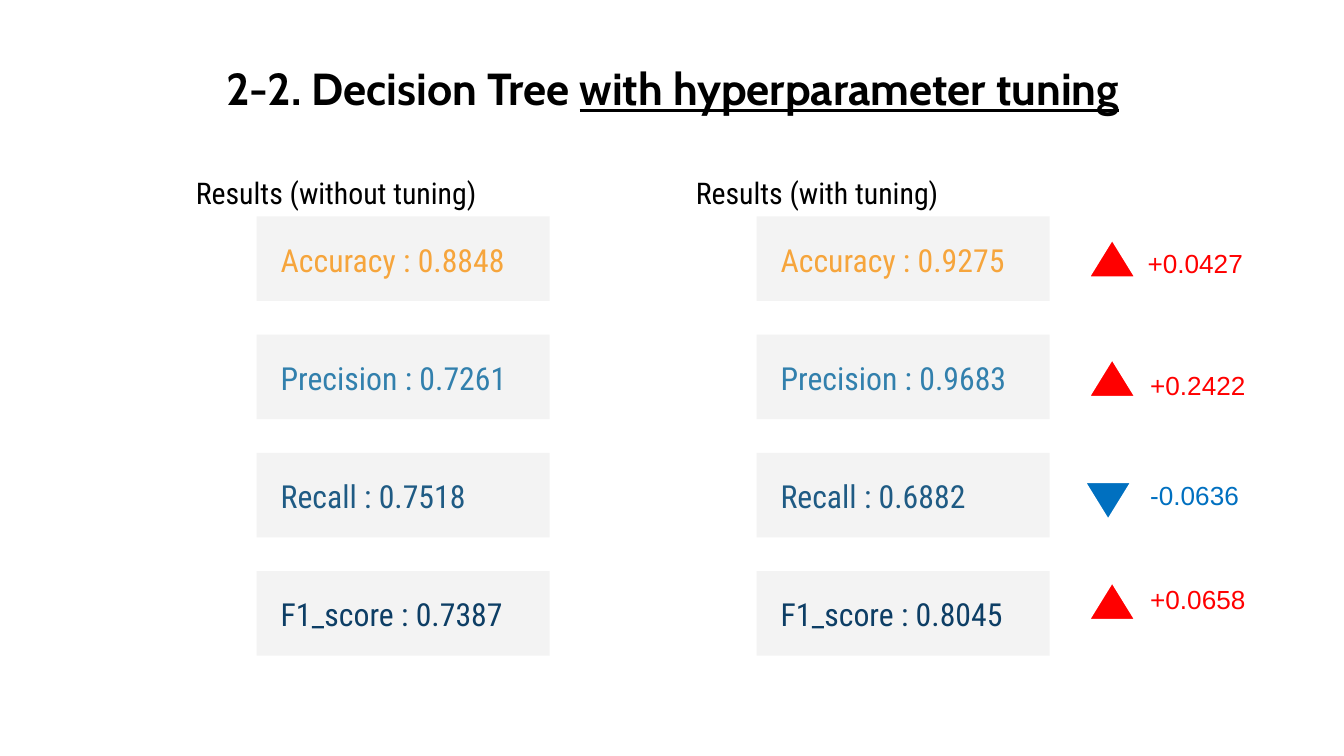
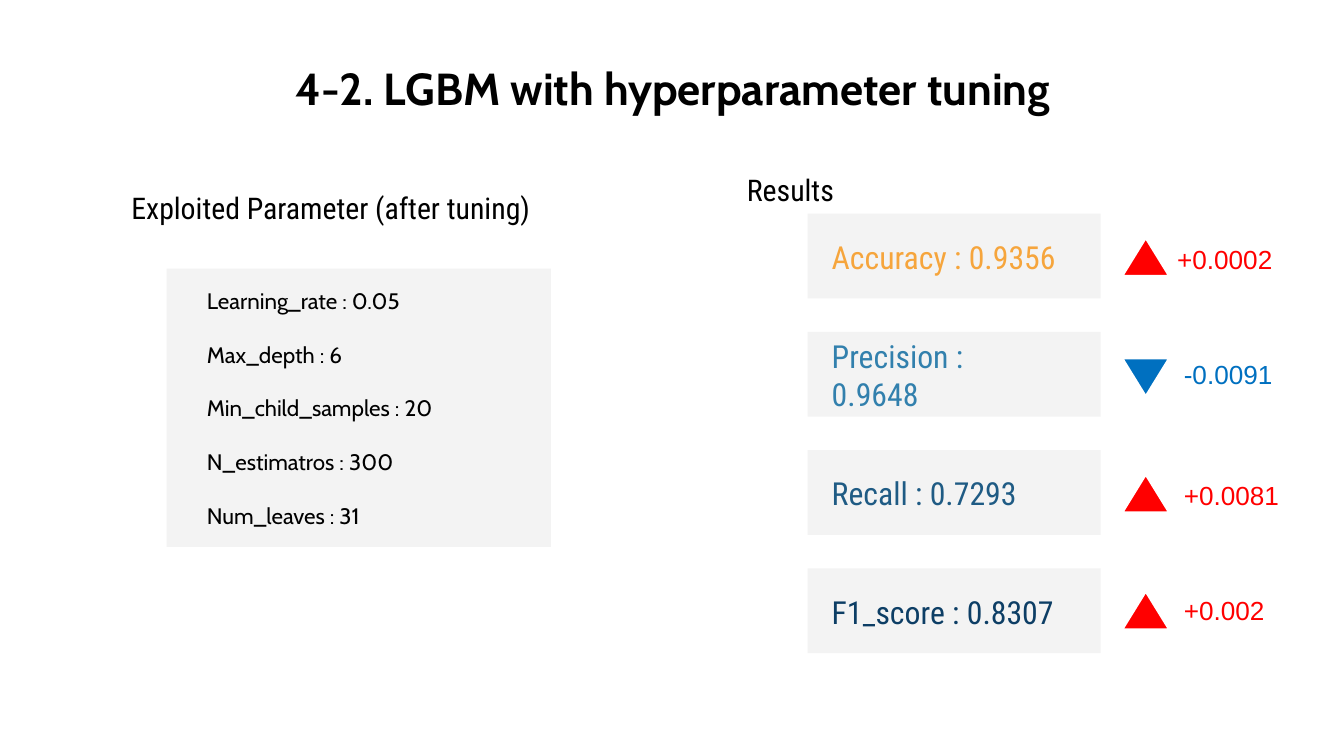
import pptx
import pptx.dml.color
import pptx.enum.shapes
import pptx.enum.text
import pptx.util

COLUMNS, ROWS = 100, 56.25
COLORS = {
    "ink": "000000", "paper": "FFFFFF", "tile": "F3F3F3",
    "Accuracy": "F6A53C", "Precision": "3280AD",
    "Recall": "1F5B84", "F1_score": "0D3E65",
    "rise": "FF0000", "fall": "0070C0",
}
FORMATS = {
    "title": {"name": "Cabin", "size": pptx.util.Pt(24), "bold": True},
    "heading": {"name": "Roboto Condensed", "size": pptx.util.Pt(16)},
    "score": {"name": "Roboto Condensed", "size": pptx.util.Pt(17)},
    "change": {"name": "Arial", "size": pptx.util.Pt(14)},
    "setting": {"name": "Cabin", "size": pptx.util.Pt(12)},
}
ANCHOR = pptx.enum.text.MSO_ANCHOR
ALIGN = pptx.enum.text.PP_ALIGN
FIT = pptx.enum.text.MSO_AUTO_SIZE
SHAPE = pptx.enum.shapes.MSO_SHAPE
METRICS = ("Accuracy", "Precision", "Recall", "F1_score")
TILE_PITCH = 8.8
TILE_WIDTH, TILE_HEIGHT = 21.8, 6.3


def color(name):
    """Return the named colour."""
    return pptx.dml.color.RGBColor.from_string(COLORS[name])


def assign(target, values):
    """Set attributes of an object from a dict."""
    for name, value in values.items():
        setattr(target, name, value)


class Report:
    """Holds the deck, its style and the current page."""

    def __init__(self):
        """Open a widescreen deck."""
        self.deck = pptx.Presentation()
        self.deck.slide_width = pptx.util.Inches(10)
        self.deck.slide_height = pptx.util.Inches(5.625)
        self.page = None

    def place(self, left, top, width, height):
        """Convert grid columns and rows to lengths."""
        column = self.deck.slide_width / COLUMNS
        row = self.deck.slide_height / ROWS
        return [round(value) for value in (left * column, top * row, width * column, height * row)]

    def add_span(self, para, text, style, ink="ink", **extra):
        """Add one formatted span to a paragraph."""
        span = para.add_run()
        span.text = text
        assign(span.font, {**FORMATS[style], **extra})
        span.font.color.rgb = color(ink)

    def inset(self, frame, side=0.1, **extra):
        """Set the margins and other properties of a text frame."""
        edge, inner = pptx.util.Inches(0.1), pptx.util.Inches(side)
        assign(frame, {"margin_left": inner, "margin_right": inner,
                       "margin_top": edge, "margin_bottom": edge,
                       "word_wrap": True, **extra})

    def start(self, title, underlined=""):
        """Add a page with its title."""
        self.page = self.deck.slides.add_slide(self.deck.slide_layouts[5])
        box = self.page.shapes.title
        box.left, box.top, box.width, box.height = self.place(2, 3.4, 96.1, 6.3)
        self.inset(box.text_frame, auto_size=FIT.NONE, vertical_anchor=ANCHOR.MIDDLE)
        para = box.text_frame.paragraphs[0]
        para.alignment = ALIGN.CENTER
        self.add_span(para, title, "title")
        if underlined:
            self.add_span(para, underlined, "title", underline=True)

    def shape(self, kind, bounds, fill):
        """Add a flat filled shape without outline."""
        shape = self.page.shapes.add_shape(kind, *self.place(*bounds))
        shape.shadow.inherit = False
        shape.fill.solid()
        shape.fill.fore_color.rgb = color(fill)
        shape.line.fill.background()
        return shape

    def text(self, bounds, text, style, ink="ink"):
        """Add a one-line text box that grows with its text."""
        frame = self.page.shapes.add_textbox(*self.place(*bounds)).text_frame
        assign(frame, {"word_wrap": True, "auto_size": FIT.SHAPE_TO_FIT_TEXT})
        self.add_span(frame.paragraphs[0], text, style, ink)
        return frame

    def heading(self, left, top, text):
        """Add a heading above a group."""
        self.text((left, top, 35.6, 3.7), text, "heading")

    def scores(self, left, top, heading, values, widths=None):
        """Add a headed column of metric tiles."""
        self.heading(left - 5.5, top - 3.6, heading)
        for index, (metric, value) in enumerate(zip(METRICS, values)):
            row = top + index * TILE_PITCH
            self.shape(SHAPE.RECTANGLE, (left, row, TILE_WIDTH, TILE_HEIGHT), "tile")
            width = (widths or {}).get(metric, 38.4)
            frame = self.text((left + 0.8, row + 0.85, width, 4.7),
                              f"{metric} : {value}", "score", metric)
            self.inset(frame, auto_size=FIT.NONE, vertical_anchor=ANCHOR.MIDDLE)

    def change(self, text, marker, label):
        """Add a rise or fall marker with its difference."""
        trend = "fall" if text.startswith("-") else "rise"
        triangle = self.shape(SHAPE.ISOSCELES_TRIANGLE, (*marker, 3.7, 3), trend)
        triangle.rotation = 180 if trend == "fall" else 0
        triangle.line.color.rgb = color("paper")
        triangle.line.width = pptx.util.Pt(2)
        self.text((*label, 10.4, 3.4), text, "change", trend)

    def settings(self, bounds, lines):
        """Add a panel of model settings."""
        frame = self.shape(SHAPE.RECTANGLE, bounds, "tile").text_frame
        self.inset(frame, 0.3, vertical_anchor=ANCHOR.MIDDLE)
        for index, line in enumerate(lines):
            para = frame.add_paragraph() if index else frame.paragraphs[0]
            para.alignment = ALIGN.LEFT
            if index:
                para.space_before = pptx.util.Pt(14.4)
            self.add_span(para, line, "setting")


def main():
    """Build and save the deck."""
    report = Report()

    report.start("2-2. Decision Tree ", "with hyperparameter tuning")
    report.scores(19.1, 16.1, "Results (without tuning)",
                  ("0.8848", "0.7261", "0.7518", "0.7387"))
    report.scores(56.3, 16.1, "Results (with tuning)",
                  ("0.9275", "0.9683", "0.6882", "0.8045"))
    for change in (
        ("+0.0427", (80.9, 17.7), (84.4, 17.9)),
        ("+0.2422", (80.9, 26.6), (84.6, 27)),
        ("-0.0636", (80.6, 35.8), (84.6, 35.2)),
        ("+0.0658", (80.9, 43.2), (84.6, 42.9)),
    ):
        report.change(*change)

    report.start("4-2. LGBM with hyperparameter tuning")
    report.heading(8.8, 13.6, "Exploited Parameter (after tuning)")
    report.settings((12.4, 20, 28.6, 20.7), (
        "Learning_rate : 0.05", "Max_depth : 6", "Min_child_samples : 20",
        "N_estimatros : 300", "Num_leaves : 31"))
    report.scores(60.1, 15.9, "Results",
                  ("0.9356", "0.9648", "0.7293", "0.8307"), {"Precision": 18.2})
    for change in (
        ("+0.0002", (83.4, 17.6), (86.6, 17.6)),
        ("-0.0091", (83.4, 26.6), (87.1, 26.2)),
        ("+0.0081", (83.4, 35.2), (87.1, 35.2)),
        ("+0.002", (83.4, 43.9), (87.1, 43.7)),
    ):
        report.change(*change)

    report.deck.save("out.pptx")


if __name__ == "__main__":
    main()
